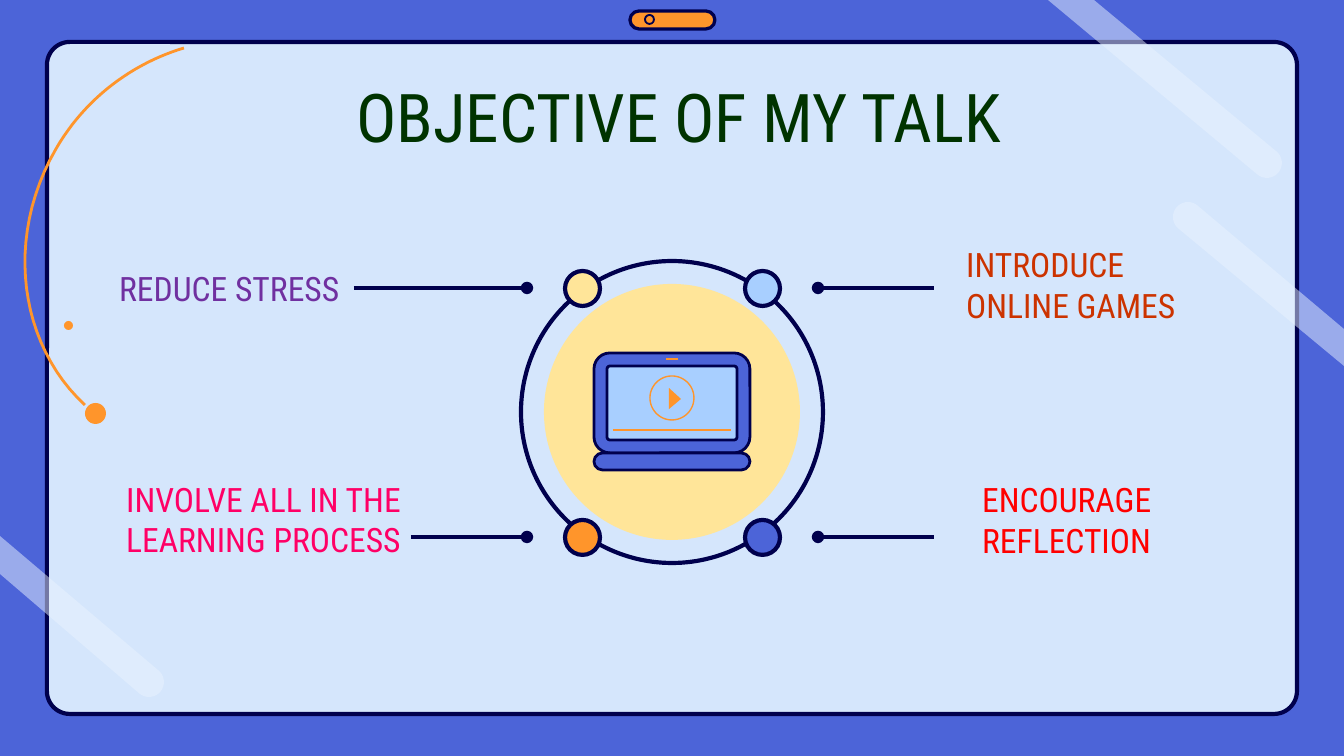
from dataclasses import dataclass
from math import cos, radians, sin

from pptx import Presentation
from pptx.dml.color import RGBColor
from pptx.enum.shapes import MSO_CONNECTOR, MSO_SHAPE
from pptx.enum.text import MSO_ANCHOR, PP_ALIGN
from pptx.oxml.ns import qn
from pptx.util import Emu, Pt
from lxml import etree

OVAL, ROUND = MSO_SHAPE.OVAL, MSO_SHAPE.ROUNDED_RECTANGLE
STRAIGHT = MSO_CONNECTOR.STRAIGHT
TOP, MIDDLE = MSO_ANCHOR.TOP, MSO_ANCHOR.MIDDLE
LEFT, CENTER = PP_ALIGN.LEFT, PP_ALIGN.CENTER

EMU_PER_PX = 914400 / 134.4
FONT = "Roboto Condensed"
NAVY, BLUE, SKY = "00004D", "4C64D8", "A8CFFF"
ORANGE, CREAM, PANEL, GLARE = "FF952B", "FFE599", "D5E6FC", "E9F3FF"

Point = tuple[float, float]
Box = tuple[int, int, int, int]


@dataclass
class Solid:
    kind: int
    box: Box
    fill: str | None
    line: str | None = None
    width: float = 0
    radius: float | None = None


@dataclass
class Streak:
    """Band of glare: a round cap facing `angle`, and two points on the slide edge."""
    cap: Point
    angle: int
    start: Point
    end: Point


@dataclass
class Topic:
    text: str
    color: str
    box: Box
    line_from: int
    line_to: int
    y: int
    node_x: int
    node_fill: str


SCREEN_FRAME = [
    Solid(ROUND, (47, 42, 1250, 672), PANEL, NAVY, 2.25, 0.034),
    Solid(ROUND, (630, 11, 85, 18), ORANGE, NAVY, 1.75, 0.5),
    Solid(OVAL, (645, 15, 9, 9), ORANGE, NAVY, 1),
    Solid(OVAL, (64, 321, 9, 9), ORANGE),
    Solid(OVAL, (85, 403, 21, 21), ORANGE),
]
ORBIT = [
    ((85, 405), (20, 345), (4, 239), (56, 149)),
    ((56, 149), (86, 97), (134, 63), (184, 48)),
]
STREAKS = [
    Streak((1267, 163), 40, (1094, 0), (1048, 0)),
    Streak((149, 682), 40, (0, 536), (0, 574)),
    Streak((1188, 217), 220, (1344, 366), (1344, 329)),
]
CAP_RADIUS = 15
LAPTOP = [
    Solid(OVAL, (544, 284, 256, 256), CREAM),
    Solid(OVAL, (521, 261, 302, 302), None, NAVY, 2.25),
    Solid(ROUND, (594, 353, 156, 100), BLUE, NAVY, 1.5, 0.16),
    Solid(ROUND, (607, 366, 130, 74), SKY, NAVY, 1.5, 0.04),
    Solid(OVAL, (650, 376, 44, 44), None, ORANGE, 0.75),
    Solid(ROUND, (594, 453, 156, 17), BLUE, NAVY, 1.5, 0.5),
]
PLAY = [(669, 388), (669, 409), (681, 399)]
NODE_SIZE = 35
TOPICS = [
    Topic("INTRODUCE ONLINE GAMES", "CC3300", (953, 241, 285, 87), 934, 818, 288, 762, SKY),
    Topic("REDUCE STRESS", "7030A0", (106, 262, 249, 52), 354, 527, 288, 582, CREAM),
    Topic("ENCOURAGE REFLECTION", "FF0000", (969, 476, 207, 87), 934, 818, 537, 762, BLUE),
    Topic("INVOLVE ALL IN THE LEARNING PROCESS", "FF0066", (113, 493, 305, 52),
          411, 527, 537, 582, ORANGE),
]


def px(value: float) -> Emu:
    return Emu(round(value * EMU_PER_PX))


def rgb(color: str) -> RGBColor:
    return RGBColor.from_string(color)


def paint(sp, fill: str | None, line: str | None = None, width: float = 0) -> None:
    sp.shadow.inherit = False
    if fill:
        sp.fill.solid()
        sp.fill.fore_color.rgb = rgb(fill)
    else:
        sp.fill.background()
    if line:
        sp.line.color.rgb = rgb(line)
        sp.line.width = Pt(width)
    else:
        sp.line.fill.background()


def draw_solid(s, item: Solid) -> None:
    sp = s.shapes.add_shape(item.kind, *map(px, item.box))
    if item.radius is not None:
        sp.adjustments[0] = item.radius
    paint(sp, item.fill, item.line, item.width)


def draw_outline(s, points: list[Point], close: bool = True):
    emu = [(px(x), px(y)) for x, y in points]
    builder = s.shapes.build_freeform(*emu[0])
    builder.add_line_segments(emu[1:], close=close)
    return builder.convert_to_shape()


def bezier(a: Point, b: Point, c: Point, d: Point, steps: int = 24) -> list[Point]:
    points = []
    for i in range(steps + 1):
        t = i / steps
        weights = ((1 - t) ** 3, 3 * t * (1 - t) ** 2, 3 * t * t * (1 - t), t ** 3)
        points.append(tuple(sum(w * q[k] for w, q in zip(weights, (a, b, c, d)))
                            for k in (0, 1)))
    return points


def draw_streak(s, item: Streak) -> None:
    x, y = item.cap
    turns = [radians(item.angle + turn) for turn in range(-90, 91, 10)]
    cap = [(x + CAP_RADIUS * cos(a), y + CAP_RADIUS * sin(a)) for a in turns]
    sp = draw_outline(s, [item.start, *cap, item.end])
    paint(sp, GLARE)
    color = sp.fill._xPr.find(qn("a:solidFill"))[0]
    etree.SubElement(color, qn("a:alpha")).set("val", "50000")


def draw_line(s, start: Point, end: Point, color: str, width: float, dot: bool = False) -> None:
    sp = s.shapes.add_connector(STRAIGHT, *map(px, (*start, *end)))
    sp.line.color.rgb = rgb(color)
    sp.line.width = Pt(width)
    if dot:
        etree.SubElement(sp.line._get_or_add_ln(), qn("a:tailEnd")).set("type", "oval")
    etree.SubElement(sp._element.spPr, qn("a:effectLst"))


def draw_text(s, text: str, box: Box, size: int, color: str, anchor=MIDDLE, align=LEFT) -> None:
    tf = s.shapes.add_textbox(*map(px, box)).text_frame
    frame = {"word_wrap": True, "vertical_anchor": anchor}
    frame |= {f"margin_{side}": Pt(7.2) for side in ("left", "top", "right", "bottom")}
    for name, value in frame.items():
        setattr(tf, name, value)
    p = tf.paragraphs[0]
    p.alignment = align
    r = p.add_run()
    r.text = text
    for name, value in {"name": FONT, "size": Pt(size)}.items():
        setattr(r.font, name, value)
    r.font.color.rgb = rgb(color)


def main() -> None:
    prs = Presentation()
    prs.slide_width, prs.slide_height = px(1344), px(756)
    s = prs.slides.add_slide(prs.slide_layouts[6])
    s.background.fill.solid()
    s.background.fill.fore_color.rgb = rgb(BLUE)

    for item in SCREEN_FRAME:
        draw_solid(s, item)
    orbit = [point for curve in ORBIT for point in bezier(*curve)]
    paint(draw_outline(s, orbit, close=False), None, ORANGE, 1.5)
    for streak in STREAKS:
        draw_streak(s, streak)

    draw_text(s, "OBJECTIVE OF MY TALK", (332, 62, 694, 113), 36, "003300", TOP, CENTER)
    for topic in TOPICS:
        draw_text(s, topic.text, topic.box, 18, topic.color)
        draw_line(s, (topic.line_from, topic.y), (topic.line_to, topic.y), NAVY, 2.25, dot=True)

    for item in LAPTOP:
        draw_solid(s, item)
    paint(draw_outline(s, PLAY), ORANGE)
    draw_line(s, (613, 430), (731, 430), ORANGE, 0.75)
    draw_line(s, (666, 359), (678, 359), ORANGE, 0.75)
    for topic in TOPICS:
        corner = (topic.node_x - NODE_SIZE // 2, topic.y - NODE_SIZE // 2)
        draw_solid(s, Solid(OVAL, (*corner, NODE_SIZE, NODE_SIZE), topic.node_fill, NAVY, 2.25))

    prs.save("out.pptx")


if __name__ == "__main__":
    main()
